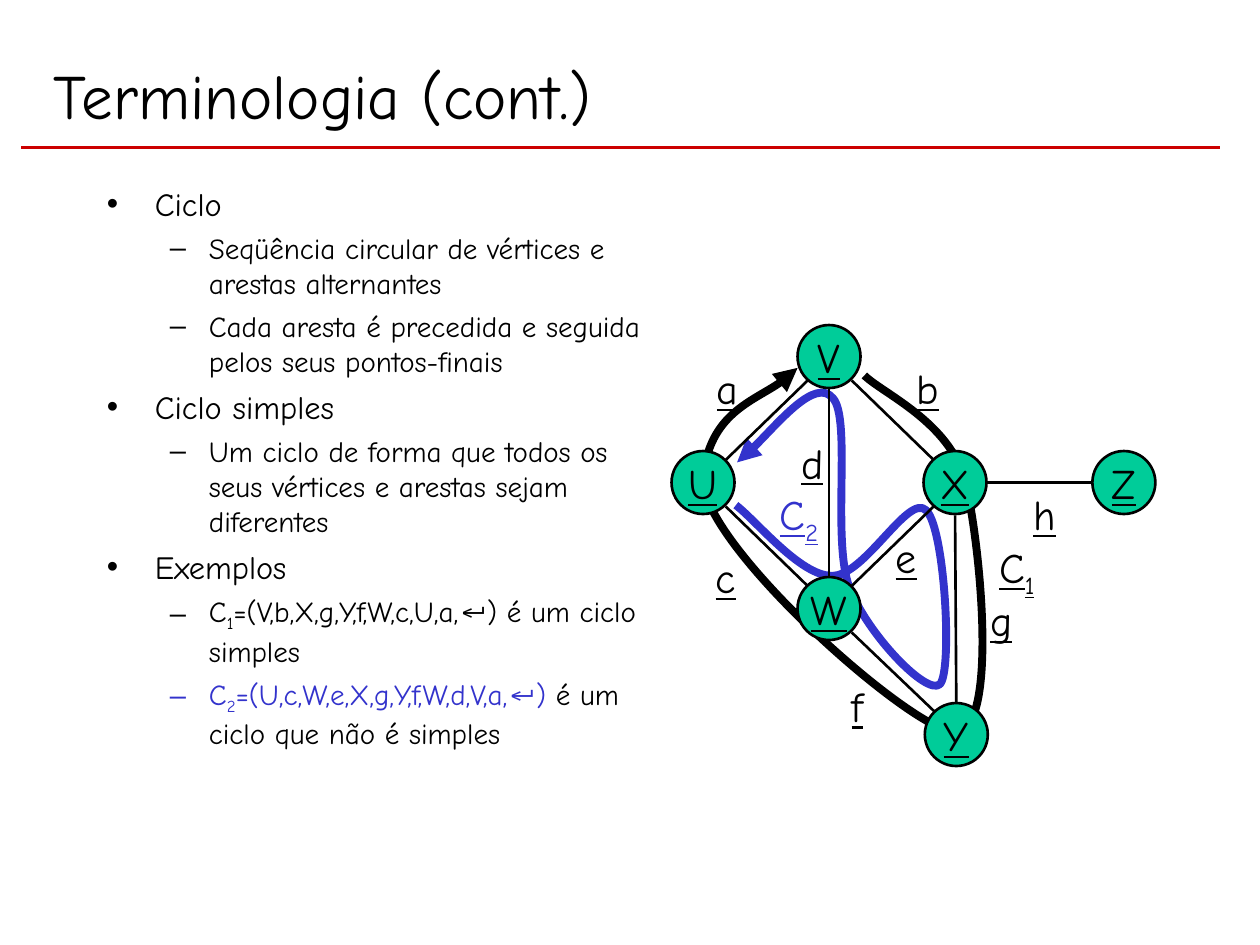
from itertools import groupby
from lxml.etree import SubElement
from pptx import Presentation
from pptx.dml.color import RGBColor
from pptx.enum.shapes import MSO_CONNECTOR, MSO_SHAPE
from pptx.enum.text import MSO_ANCHOR, MSO_AUTO_SIZE, PP_ALIGN
from pptx.oxml.ns import qn
from pptx.util import Inches, Pt

BLACK = RGBColor(0x00, 0x00, 0x00)
RED = RGBColor(0xCC, 0x00, 0x00)
BLUE = RGBColor(0x33, 0x33, 0xCC)
GREEN = RGBColor(0x00, 0xCC, 0x99)
SUBS = {"₁": "1", "₂": "2"}


def write(par, text, size, color=BLACK, under=None):
    """Add text; subscript digits and the return arrow get their own runs."""
    for mark, chars in groupby(text, lambda c: c if c in "₁₂↵" else ""):
        run = par.add_run()
        run.text = SUBS.get(mark) or "".join(chars)
        look = {"name": "Arial" if mark == "↵" else "Comic Neue",
                "size": Pt(size), "underline": under}
        for key, value in look.items():
            setattr(run.font, key, value)
        run.font.color.rgb = color
        if mark in SUBS:
            run.font._element.set("baseline", "-25000")


def stroke(shape, color, width, arrow=None):
    """Set the outline, an arrowhead if asked for, and no shadow."""
    shape.line.color.rgb = color
    shape.line.width = Pt(width)
    props = shape._element.spPr
    if arrow:
        SubElement(props.find(qn("a:ln")), qn("a:" + arrow), type="triangle")
    SubElement(props, qn("a:effectLst"))


prs = Presentation()
prs.slide_width, prs.slide_height = Inches(10), Inches(7.5)
slide = prs.slides.add_slide(prs.slide_layouts[6])
shapes = slide.shapes

# Title and rule
rule = shapes.add_connector(MSO_CONNECTOR.STRAIGHT, Inches(0.17), Inches(1.17),
                            Inches(9.68), Inches(1.17))
stroke(rule, RED, 1.5)
title = shapes.add_textbox(Inches(0.33), Inches(0.25), Inches(9), Inches(1))
frame = title.text_frame
frame.word_wrap = True
frame.vertical_anchor = MSO_ANCHOR.MIDDLE
write(frame.paragraphs[0], "Terminologia (cont.)", 36)

# Bullet text: level, then parts with their colours
ITEMS = [
    (0, [("Ciclo", BLACK)]),
    (1, [("Seqüência circular de vértices e arestas alternantes", BLACK)]),
    (1, [("Cada aresta é precedida e seguida pelos seus pontos-finais", BLACK)]),
    (0, [("Ciclo simples", BLACK)]),
    (1, [("Um ciclo de forma que todos os seus vértices e arestas sejam "
          "diferentes", BLACK)]),
    (0, [("Exemplos", BLACK)]),
    (1, [("C₁=(V,b,X,g,Y,f,W,c,U,a,↵) é um ciclo simples", BLACK)]),
    (1, [("C₂=(U,c,W,e,X,g,Y,f,W,d,V,a,↵)", BLUE),
         (" é um ciclo que não é simples", BLACK)]),
]
# Size, space before, left margin, indent and bullet of each level
LEVELS = [(18.5, 5, 0.38, -0.38, "•"), (16.6, 4.5, 0.81, -0.31, "–")]
body = shapes.add_textbox(Inches(0.75), Inches(1.41), Inches(4.58), Inches(4.83))
frame = body.text_frame
frame.word_wrap = True
for i, (level, parts) in enumerate(ITEMS):
    size, gap, left, indent, sign = LEVELS[level]
    par = frame.add_paragraph() if i else frame.paragraphs[0]
    par.level = level
    par.space_before = Pt(gap)
    props = par._p.get_or_add_pPr()
    props.set("marL", str(Inches(left)))
    props.set("indent", str(Inches(indent)))
    tint = SubElement(props, qn("a:buClr"))
    SubElement(tint, qn("a:srgbClr"), val=str(parts[0][1]))
    SubElement(props, qn("a:buFont"), typeface="Arial")
    SubElement(props, qn("a:buChar"), char=sign)
    for text, color in parts:
        write(par, text, size, color)

# Cycle curves: start point, then three Bezier points per piece
CURVES = [
    (BLACK, "tailEnd", [
        (6.86, 2.98), (7, 3.12), (7.54, 3.35), (7.66, 3.82),
        (7.78, 4.3), (7.93, 5.82), (7.58, 5.81),
        (7.24, 5.81), (5.54, 4.3), (5.58, 3.79),
        (5.63, 3.28), (6.18, 3.1), (6.33, 2.92)]),
    (BLUE, "headEnd", [
        (5.85, 3.67), (5.98, 3.58), (6.47, 2.99), (6.61, 3.16),
        (6.76, 3.32), (6.6, 4.28), (6.74, 4.66),
        (6.88, 5.03), (7.36, 5.53), (7.46, 5.43),
        (7.56, 5.33), (7.5, 4.19), (7.35, 4.05),
        (7.21, 3.91), (6.86, 4.58), (6.6, 4.57),
        (6.35, 4.57), (6, 4.13), (5.84, 4.01)]),
]
for color, arrow, points in CURVES:
    start, *rest = [(Inches(x), Inches(y)) for x, y in points]
    pen = shapes.build_freeform(*start)
    pen.add_line_segments(rest, close=False)
    curve = pen.convert_to_shape()
    curve.fill.background()
    stroke(curve, color, 4.5, arrow)
    # Turn each three line points into one cubic piece
    track = next(curve._element.iter(qn("a:path")))
    lines = track.findall(qn("a:lnTo"))
    for i in range(0, len(lines), 3):
        piece = SubElement(track, qn("a:cubicBezTo"))
        for line in lines[i:i + 3]:
            piece.append(line[0])
            track.remove(line)

# Vertices
NODES = {"X": (7.33, 3.58), "U": (5.33, 3.58), "V": (6.33, 2.58),
         "W": (6.33, 4.58), "Z": (8.67, 3.58), "Y": (7.34, 5.58)}
for name, (x, y) in NODES.items():
    node = shapes.add_shape(MSO_SHAPE.OVAL, Inches(x), Inches(y),
                            Inches(0.5), Inches(0.5))
    node.fill.solid()
    node.fill.fore_color.rgb = GREEN
    stroke(node, BLACK, 1.5)
    frame = node.text_frame
    frame.word_wrap = False
    frame.vertical_anchor = MSO_ANCHOR.MIDDLE
    frame.paragraphs[0].alignment = PP_ALIGN.CENTER
    write(frame.paragraphs[0], name, 24, under=True)

# Edges
EDGES = [(6.41, 3.02, 5.76, 3.65), (6.41, 4.65, 5.76, 4.02),
         (6.76, 4.65, 7.41, 4.02), (7.84, 3.83, 8.66, 3.83),
         (6.76, 3.02, 7.41, 3.65), (6.58, 3.09, 6.58, 4.57),
         (6.76, 5.02, 7.42, 5.65), (7.58, 4.09, 7.59, 5.57)]
for ends in EDGES:
    edge = shapes.add_connector(MSO_CONNECTOR.STRAIGHT, *map(Inches, ends))
    stroke(edge, BLACK, 1.5)

# Edge and cycle labels: left, top, width, height
LABELS = [("a", 5.59, 2.83, 0.37, 0.5, BLACK), ("c", 5.58, 4.33, 0.36, 0.5, BLACK),
          ("b", 7.17, 2.83, 0.38, 0.5, BLACK), ("e", 7.01, 4.17, 0.36, 0.5, BLACK),
          ("d", 6.26, 3.42, 0.37, 0.5, BLACK), ("f", 6.66, 5.35, 0.29, 0.5, BLACK),
          ("g", 7.76, 4.67, 0.37, 0.5, BLACK), ("h", 8.1, 3.83, 0.38, 0.5, BLACK),
          ("C₁", 7.8, 4.25, 0.54, 0.56, BLACK), ("C₂", 6.05, 3.83, 0.58, 0.56, BLUE)]
for text, *box, color in LABELS:
    frame = shapes.add_textbox(*map(Inches, box)).text_frame
    frame.word_wrap = False
    frame.auto_size = MSO_AUTO_SIZE.SHAPE_TO_FIT_TEXT
    frame.paragraphs[0].alignment = PP_ALIGN.CENTER
    write(frame.paragraphs[0], text, 24, color, True)

prs.save("out.pptx")
